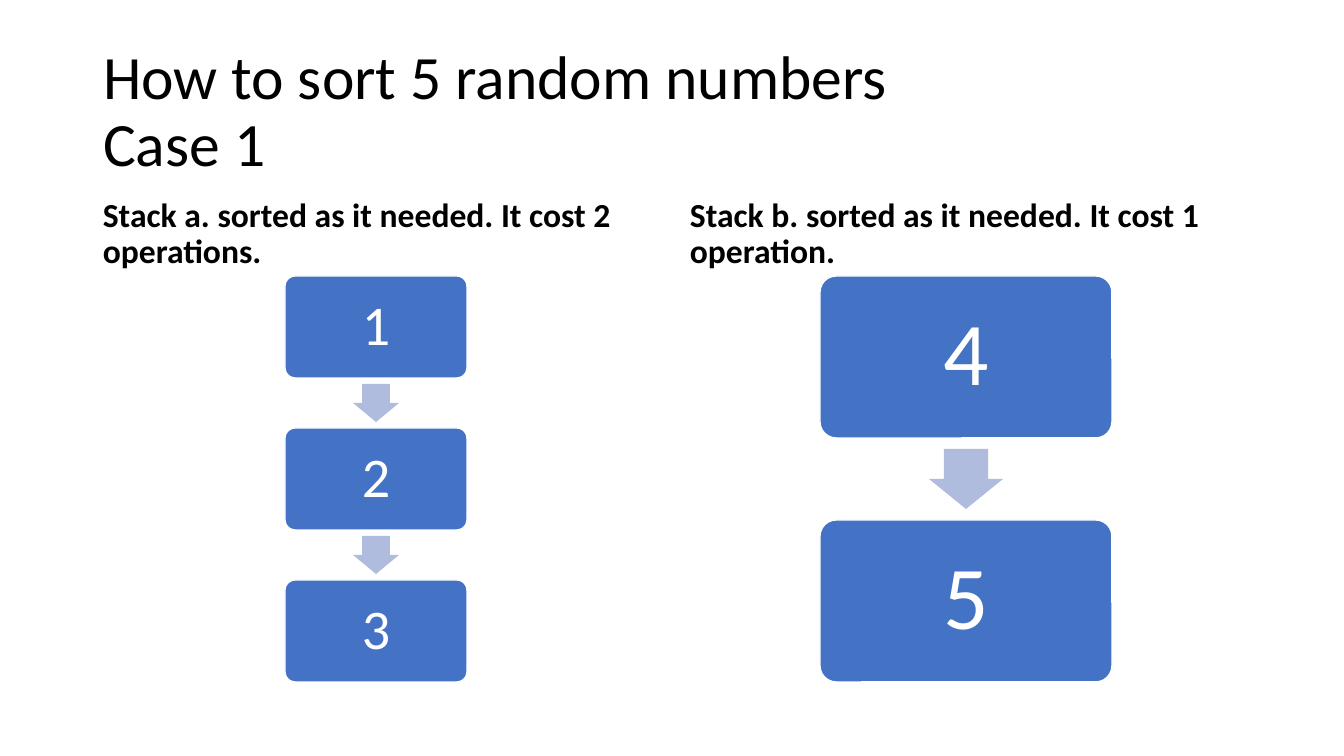
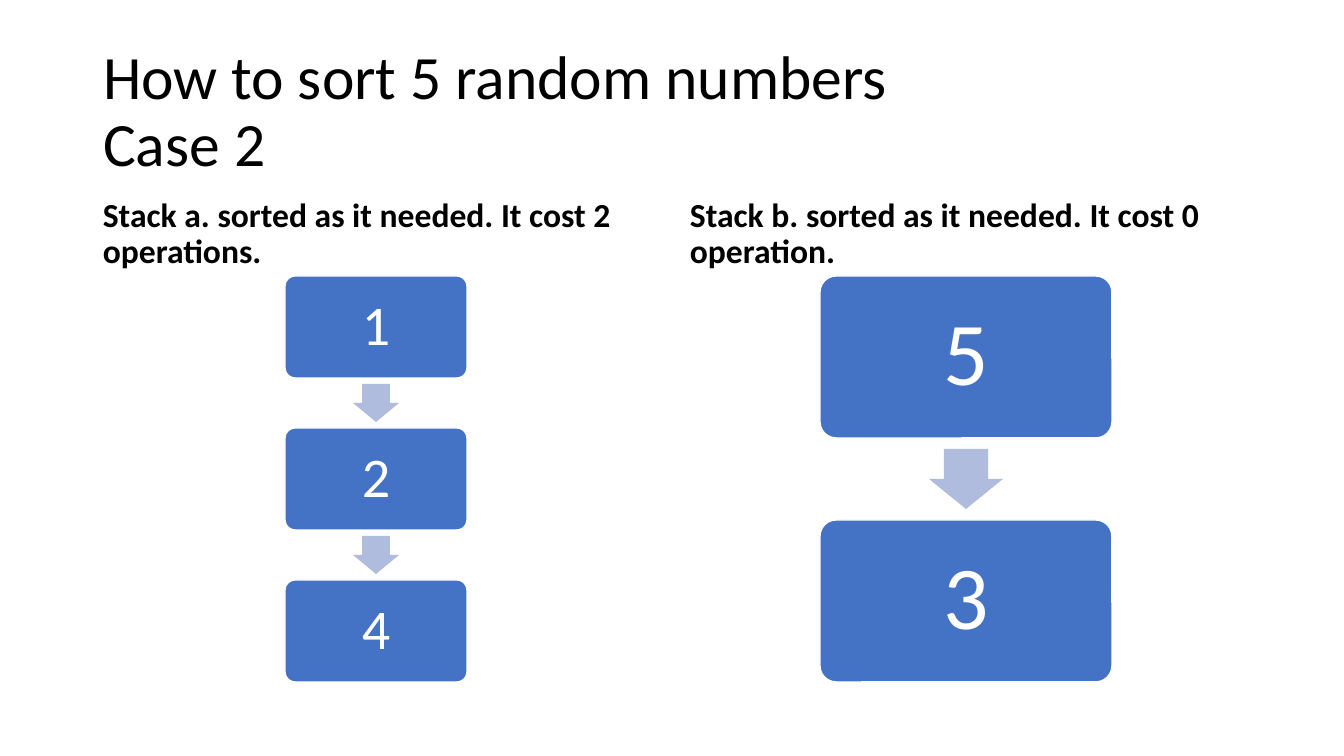
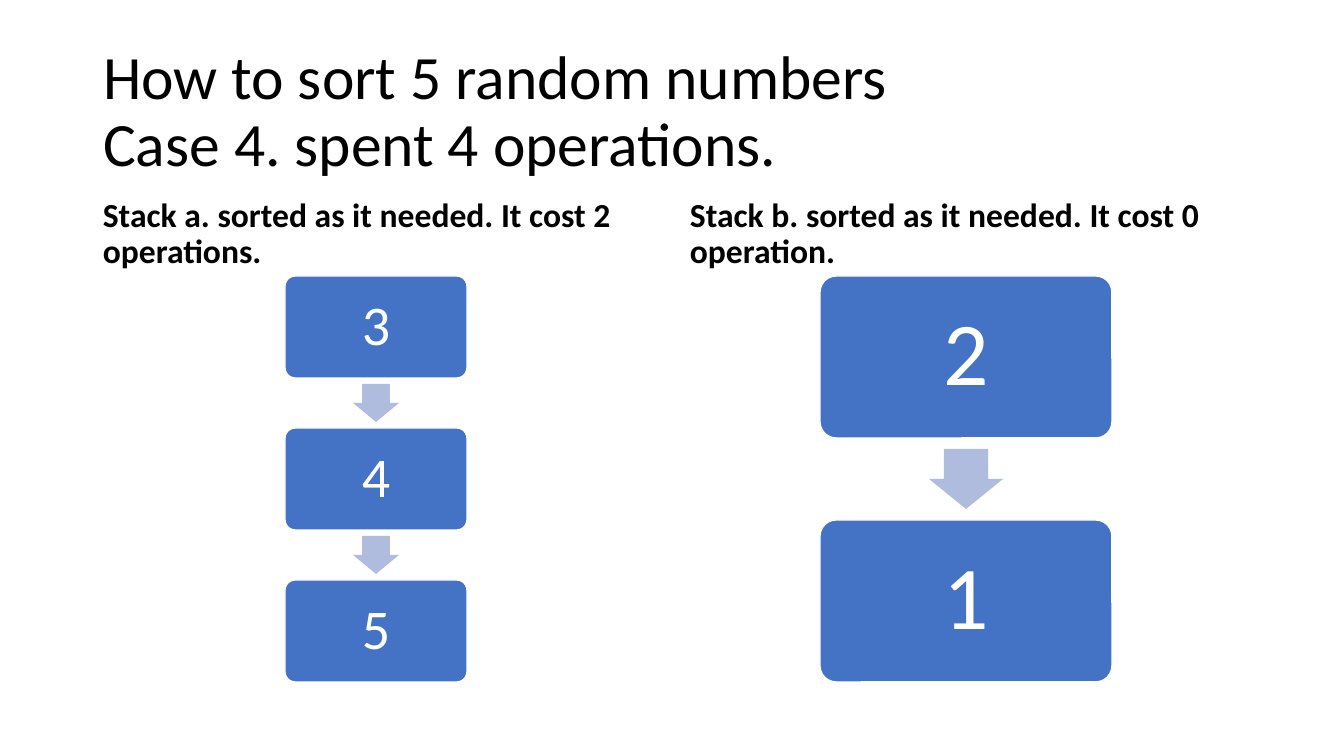
from pptx import Presentation
from pptx import util as u
from pptx.dml.color import RGBColor
from pptx.enum import shapes, text

PX = 914400 / 100.8
FONT = "Calibri"
HEX = {"text": "000000", "box": "4472C4", "arrow": "B0BCDE", "white": "FFFFFF"}


def px(*vals):
    return [u.Emu(round(v * PX)) for v in vals]


def write(frame, words, size, color, align, anchor, bold=False):
    frame.word_wrap = True
    frame.auto_size = text.MSO_AUTO_SIZE.NONE
    frame.vertical_anchor = anchor
    frame.text = words
    para = frame.paragraphs[0]
    para.alignment = align
    para.line_spacing = 0.9
    font = para.font
    font.name, font.size, font.bold = FONT, u.Pt(size), bold
    font.color.rgb = RGBColor.from_string(HEX[color])
    return para


LEFT, MID = text.PP_ALIGN.LEFT, text.PP_ALIGN.CENTER
CENTER, BOTTOM = text.MSO_ANCHOR.MIDDLE, text.MSO_ANCHOR.BOTTOM

# Stack columns: heading, boxes and arrows share one top and one bottom
TOP = 276
COLS = [
    {"left": 93, "wide": 569, "box": (285, 182, 102), "step": 152,
     "arrow": (38, 46), "size": 40, "inset": 20},
    {"left": 680, "wide": 572, "box": (820, 292, 162), "step": 244,
     "arrow": (60, 74), "size": 64, "inset": 32},
]

# Per slide: second title line, then heading and numbers of each stack
HEAD_A = "Stack a. sorted as it needed. It cost 2 operations."
HEAD_B = "Stack b. sorted as it needed. It cost {} operation."
CASES = [
    ("Case 1", (HEAD_A, "123"), (HEAD_B.format(1), "45")),
    ("Case 2", (HEAD_A, "124"), (HEAD_B.format(0), "53")),
    ("Case 4. spent 4 operations.", (HEAD_A, "345"), (HEAD_B.format(0), "21")),
]

prs = Presentation()
prs.slide_width, prs.slide_height = px(1344, 756)

for case, *stacks in CASES:
    slide = prs.slides.add_slide(prs.slide_layouts[5])

    # Title
    title = slide.shapes.title
    title.left, title.top, title.width, title.height = px(93, 40, 1159, 146)
    write(title.text_frame, "How to sort 5 random numbers\v" + case,
          44, "text", LEFT, CENTER)

    for col, (head, nums) in zip(COLS, stacks):
        # Heading
        area = slide.shapes.add_textbox(*px(col["left"], 186, col["wide"], 90))
        para = write(area.text_frame, head, 24, "text", LEFT, BOTTOM, True)
        para.space_before = u.Pt(10)

        left, wide, high = col["box"]
        for i, num in enumerate(nums):
            top = TOP + i * col["step"]

            # Arrow in the gap above each later box
            if i:
                aw, ah = col["arrow"]
                gap = col["step"] - high
                arrow = slide.shapes.add_shape(
                    shapes.MSO_SHAPE.RIGHT_ARROW,
                    *px(left + (wide - aw) / 2, top - (gap + ah) / 2, aw, ah))
                arrow.rotation = 90
                arrow.adjustments[0], arrow.adjustments[1] = 0.6, 0.5
                arrow.shadow.inherit = False
                arrow.fill.solid()
                arrow.fill.fore_color.rgb = RGBColor.from_string(HEX["arrow"])
                arrow.line.fill.background()

            # Numbered box
            box = slide.shapes.add_shape(
                shapes.MSO_SHAPE.ROUNDED_RECTANGLE, *px(left, top, wide, high))
            box.adjustments[0] = 0.1
            box.shadow.inherit = False
            box.fill.solid()
            box.fill.fore_color.rgb = RGBColor.from_string(HEX["box"])
            box.line.color.rgb = RGBColor.from_string(HEX["white"])
            box.line.width = u.Pt(1)
            frame = box.text_frame
            (frame.margin_left, frame.margin_top, frame.margin_right,
             frame.margin_bottom) = px(*[col["inset"]] * 4)
            write(frame, num, col["size"], "white", MID, CENTER)

prs.save("out.pptx")
